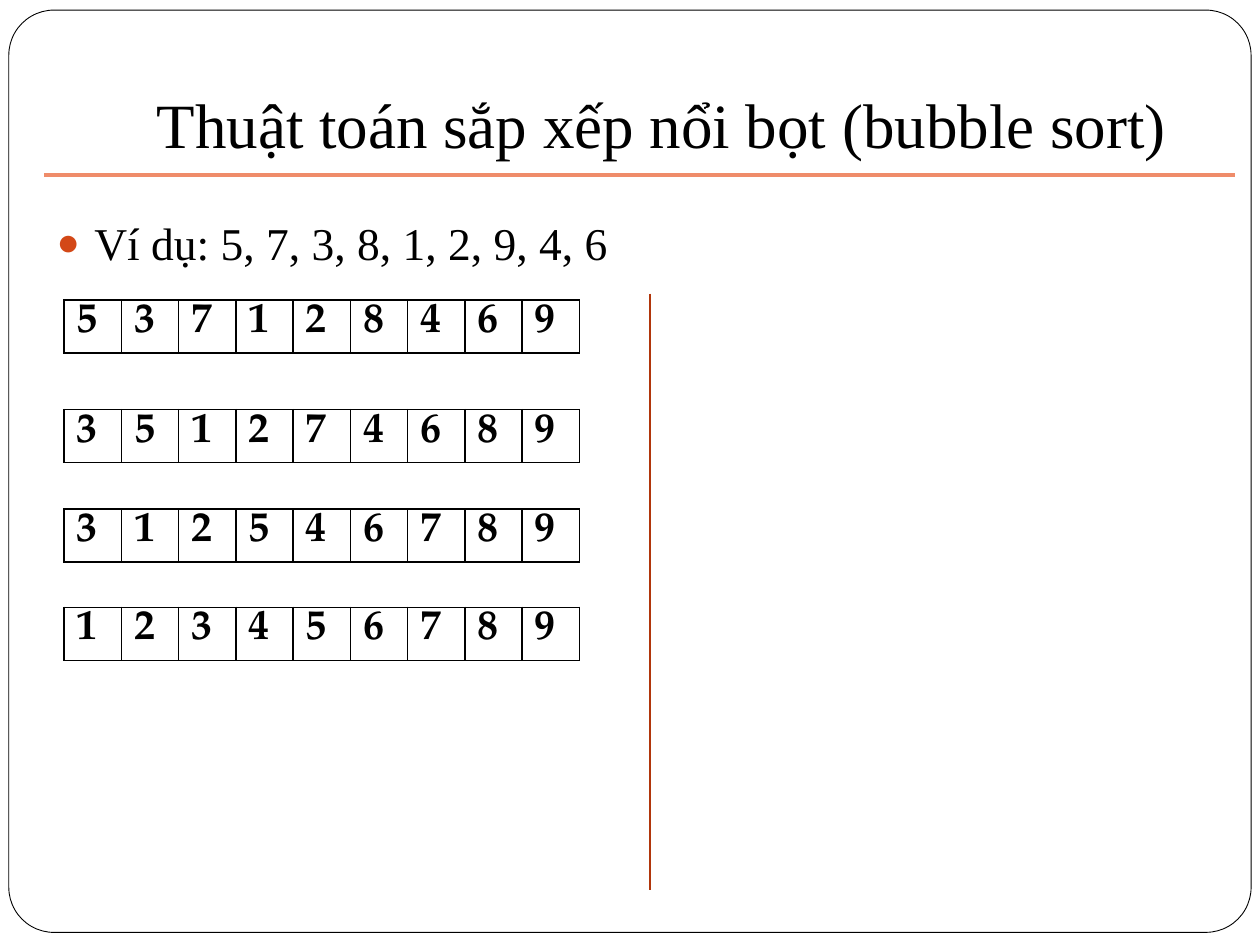
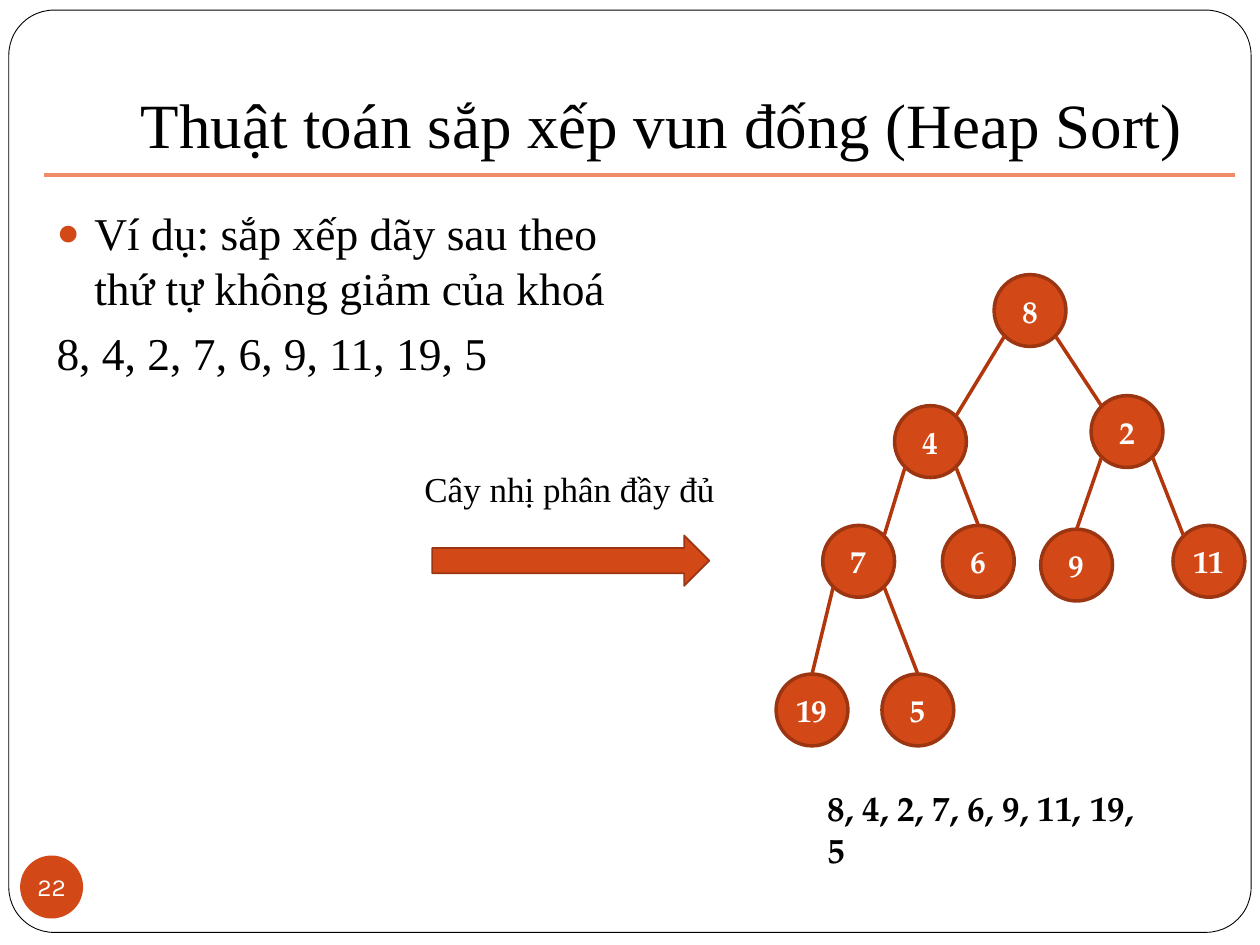
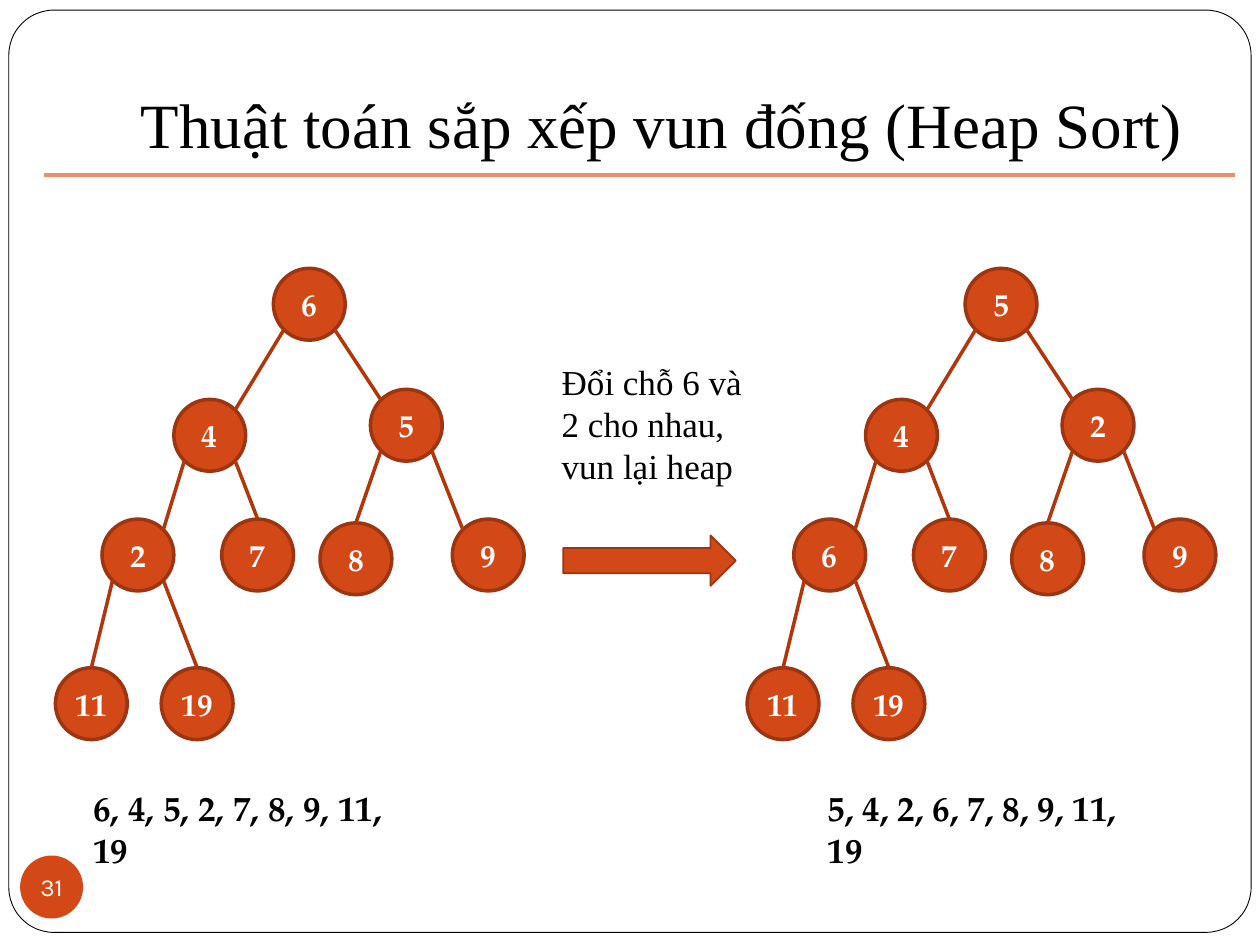
from math import cos, radians, sin

from lxml.etree import SubElement
from pptx import Presentation
from pptx.dml.color import RGBColor
from pptx.enum.shapes import MSO_CONNECTOR, MSO_SHAPE
from pptx.enum.text import MSO_ANCHOR, MSO_AUTO_SIZE, PP_ALIGN
from pptx.oxml.ns import qn
from pptx.util import Inches, Pt

# Shared look
COLORS = {
    "paper": "FFFFFF", "ink": "000000", "accent": "D34817",
    "outline": "9C3511", "edge": "B1360B", "rule": "EF8C6A",
}
SERIF, BOOK, NUMBER = "Times New Roman", "TeX Gyre Pagella", "Karla"
WIDTH, HEIGHT = 10, 7.5

# Content
BUBBLE_TITLE = "Thuật toán sắp xếp nổi bọt (bubble sort)"
HEAP_TITLE = "Thuật toán sắp xếp vun đống (Heap Sort)"
BUBBLE_EXAMPLE = "Ví dụ: 5, 7, 3, 8, 1, 2, 9, 4, 6"
HEAP_EXAMPLE = "Ví dụ: sắp xếp dãy sau theo thứ tự không giảm của khoá"
BUBBLE_PASSES = [
    (2.38, [5, 3, 7, 1, 2, 8, 4, 6, 9]),
    (3.25, [3, 5, 1, 2, 7, 4, 6, 8, 9]),
    (4.04, [3, 1, 2, 5, 4, 6, 7, 8, 9]),
    (4.82, [1, 2, 3, 4, 5, 6, 7, 8, 9]),
]
START_HEAP = [8, 4, 2, 7, 6, 9, 11, 19, 5]
HEAP_BEFORE = [6, 4, 5, 2, 7, 8, 9, 11, 19]
HEAP_AFTER = [5, 4, 2, 6, 7, 8, 9, 11, 19]

# Tree nodes in heap order: offset from the root, and the angle at which
# the edge from the parent arrives (clockwise from the right)
NODE_SIZE = 0.57
TOP, TOP_LEFT, TOP_RIGHT, BOTTOM_LEFT, BOTTOM_RIGHT = 270, 225, 315, 135, 45
TREE = [
    (0, 0, None),
    (-0.79, 1.04, TOP_RIGHT), (0.77, 0.96, TOP_LEFT),
    (-1.36, 1.99, TOP_RIGHT), (-0.41, 1.99, TOP),
    (0.37, 2.02, TOP), (1.42, 1.99, TOP_LEFT),
    (-1.73, 3.17, TOP), (-0.89, 3.17, TOP),
]


def color(name):
    return RGBColor.from_string(COLORS[name])


def box(left, top, width, height):
    return [Inches(value) for value in (left, top, width, height)]


def write(frame, text, size=20, font=SERIF, ink="ink", bold=False, align=None,
          anchor=None, insets=None, wrap=True, before=None, spacing=None,
          bullet=False, append=False):
    """Put one formatted paragraph into a text frame."""
    frame.word_wrap = wrap
    if anchor is not None:
        frame.vertical_anchor = anchor
    if insets:
        (frame.margin_left, frame.margin_top,
         frame.margin_right, frame.margin_bottom) = box(*insets)
    paragraph = frame.add_paragraph() if append else frame.paragraphs[0]
    paragraph.alignment = align
    if before is not None:
        paragraph.space_before = Pt(before)
    if spacing is not None:
        paragraph.line_spacing = spacing
    if bullet:
        properties = paragraph._p.get_or_add_pPr()
        properties.set("marL", str(Inches(0.3)))
        properties.set("indent", str(Inches(-0.3)))
        bullet_color = SubElement(properties, qn("a:buClr"))
        SubElement(bullet_color, qn("a:srgbClr"), val=COLORS["accent"])
        SubElement(properties, qn("a:buSzPct"), val="85000")
        SubElement(properties, qn("a:buFont"), typeface="Arial")
        SubElement(properties, qn("a:buChar"), char="●")
    run = paragraph.add_run()
    run.text = str(text)
    run.font.size, run.font.name, run.font.bold = Pt(size), font, bold
    run.font.color.rgb = color(ink)


def add_shape(slide, kind, place, fill, line=None, weight=1):
    shape = slide.shapes.add_shape(kind, *box(*place))
    shape.shadow.inherit = False
    shape.fill.solid()
    shape.fill.fore_color.rgb = color(fill)
    if line:
        shape.line.color.rgb = color(line)
        shape.line.width = Pt(weight)
    else:
        shape.line.fill.background()
    return shape


def add_line(slide, start, end, ink, weight):
    line = slide.shapes.add_connector(MSO_CONNECTOR.STRAIGHT, *box(*start, *end))
    line.line.color.rgb = color(ink)
    line.line.width = Pt(weight)
    SubElement(line.element.spPr, qn("a:effectLst"))


def add_text(slide, place, text, **format):
    text_box = slide.shapes.add_textbox(*box(*place))
    write(text_box.text_frame, text, **format)
    return text_box.text_frame


def add_slide(title, number=None):
    """Frame, title, rule under the title and page number."""
    slide = presentation.slides.add_slide(presentation.slide_layouts[5])
    frame = add_shape(slide, MSO_SHAPE.ROUNDED_RECTANGLE,
                      (0.07, 0.08, WIDTH - 0.14, 7.32), "paper", "ink", 0.5)
    frame.adjustments[0] = 0.049
    frame.element.getparent().insert(2, frame.element)  # behind the title
    heading = slide.shapes.title
    heading.left, heading.top, heading.width, heading.height = box(1, 0.13, 8.5, 1.25)
    write(heading.text_frame, title, size=36, align=PP_ALIGN.CENTER,
          anchor=MSO_ANCHOR.BOTTOM, insets=(0.1, 0.05, 0.1, 0.1))
    heading.text_frame.auto_size = MSO_AUTO_SIZE.NONE
    add_line(slide, (0.35, 1.39), (9.8, 1.39), "rule", 2)
    if number:
        badge = add_shape(slide, MSO_SHAPE.OVAL, (0.16, 6.79, 0.5, 0.5), "accent")
        write(badge.text_frame, number, size=14, font=NUMBER, ink="paper",
              align=PP_ALIGN.CENTER, anchor=MSO_ANCHOR.MIDDLE,
              insets=(0, 0, 0, 0), wrap=False)
    return slide


def add_array(slide, top, values):
    """One row of bordered cells."""
    table = slide.shapes.add_table(
        1, len(values), *box(0.51, top, 4.09, 0.39)).table
    table.first_row = table.horz_banding = False
    for column, value in enumerate(values):
        table.columns[column].width = Inches(4.09 / len(values))
        cell = table.cell(0, column)
        write(cell.text_frame, value, size=24, font=BOOK, bold=True, spacing=0.8)
        properties = cell._tc.get_or_add_tcPr()
        for side in ("a:lnL", "a:lnR", "a:lnT", "a:lnB"):
            border = SubElement(properties, qn(side), w=str(Pt(1)))
            fill = SubElement(border, qn("a:solidFill"))
            SubElement(fill, qn("a:srgbClr"), val=COLORS["ink"])
        cell.fill.background()


def rim(corner, angle):
    """Point on a node's circle at an angle."""
    radius = NODE_SIZE / 2
    return (corner[0] + radius * (1 + cos(radians(angle))),
            corner[1] + radius * (1 + sin(radians(angle))))


def add_heap(slide, left, top, values, list_left):
    """Binary tree with its values listed below."""
    corners = [(left + dx, top + dy) for dx, dy, _ in TREE]
    for value, corner in zip(values, corners):
        node = add_shape(slide, MSO_SHAPE.FLOWCHART_CONNECTOR,
                         (*corner, NODE_SIZE, NODE_SIZE), "accent", "outline", 2)
        write(node.text_frame, value, size=18, font=BOOK, ink="paper", bold=True,
              align=PP_ALIGN.CENTER, anchor=MSO_ANCHOR.MIDDLE, insets=(0, 0, 0, 0))
    for child in range(1, len(values)):
        departure = BOTTOM_LEFT if child % 2 else BOTTOM_RIGHT
        add_line(slide, rim(corners[(child - 1) // 2], departure),
                 rim(corners[child], TREE[child][2]), "edge", 2)
    add_text(slide, (list_left, 6.19, 2.78, 0.44), ", ".join(map(str, values)),
             font=BOOK, bold=True)


def add_arrow(slide, left, width):
    add_shape(slide, MSO_SHAPE.RIGHT_ARROW, (left, 4.25, width, 0.4),
              "accent", "outline")


presentation = Presentation()
presentation.slide_width, presentation.slide_height = Inches(WIDTH), Inches(HEIGHT)

# Bubble sort passes
slide = add_slide(BUBBLE_TITLE)
add_text(slide, (0.35, 1.66, 9.29, 5.47), BUBBLE_EXAMPLE,
         size=26, before=5.8, bullet=True)
for top, values in BUBBLE_PASSES:
    add_array(slide, top, values)
add_line(slide, (5.16, 2.33), (5.16, 7.06), "edge", 0.75)

# From the sequence to a complete binary tree
slide = add_slide(HEAP_TITLE, 22)
body = add_text(slide, (0.35, 1.58, 4.72, 5.47), HEAP_EXAMPLE,
                size=26, before=5.8, bullet=True)
write(body, ", ".join(map(str, START_HEAP)), size=26, before=5.8, append=True)
add_heap(slide, 7.89, 2.18, START_HEAP, 6.47)
add_arrow(slide, 3.43, 2.2)
add_text(slide, (3.27, 3.66, 2.83, 0.44), "Cây nhị phân đầy đủ")

# Swap and rebuild the heap
slide = add_slide(HEAP_TITLE, 31)
add_arrow(slide, 4.47, 1.37)
add_text(slide, (4.36, 2.81, 1.76, 1.11), "Đổi chỗ 6 và 2 cho nhau, vun lại heap")
add_heap(slide, 7.66, 2.13, HEAP_AFTER, 6.47)
add_heap(slide, 2.17, 2.13, HEAP_BEFORE, 0.64)

presentation.save("out.pptx")
